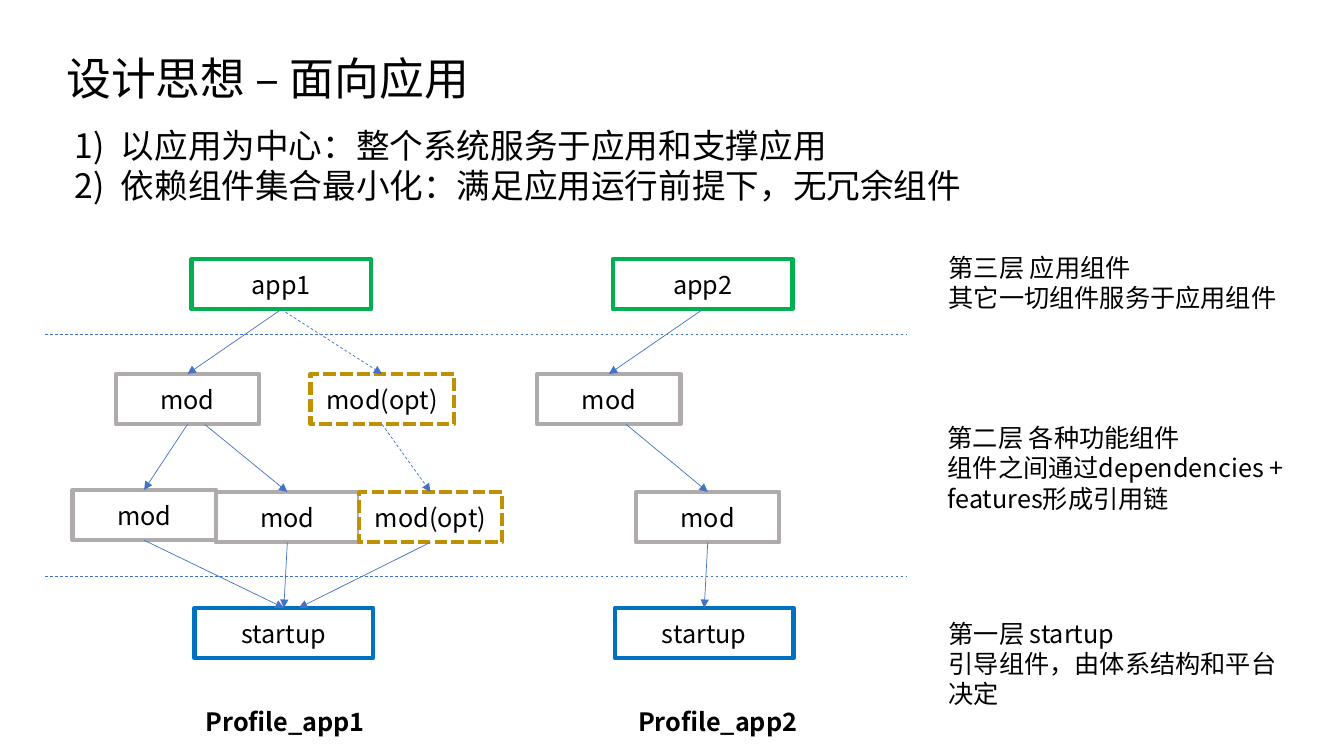
import pptx
import pptx.util
import pptx.dml.color
import pptx.enum.dml
import pptx.enum.shapes
import pptx.enum.text
import pptx.oxml.ns
import lxml.etree

Inches, Pt = pptx.util.Inches, pptx.util.Pt
DASH = pptx.enum.dml.MSO_LINE

# Content
FONT = "Noto Sans CJK SC"
COLORS = {"text": "000000", "paper": "FFFFFF", "app": "00B050", "mod": "AFABAB",
          "opt": "BF9000", "startup": "0070C0", "link": "4472C4"}
BOX_HEIGHT = 0.5
WIDTHS = {"app": 1.78, "mod": 1.42, "opt": 1.42, "startup": 1.77}

# left, top, width, height, size, bold, hanging indent, lines
TEXTS = [
    (0.56, 0.4, 10.9, 0.64, 32, False, 0, ["设计思想 – 面向应用"]),
    (0.64, 1.15, 9.02, 0.91, 24, False, 0.46,
     ["1)\t以应用为中心：整个系统服务于应用和支撑应用",
      "2)\t依赖组件集合最小化：满足应用运行前提下，无冗余组件"]),
    (9.31, 2.42, 3.61, 0.71, 18, False, 0,
     ["第三层 应用组件", "其它一切组件服务于应用组件"]),
    (9.3, 4.11, 3.61, 1.01, 18, False, 0,
     ["第二层 各种功能组件", "组件之间通过dependencies +", "features形成引用链"]),
    (9.31, 6.05, 3.61, 1.01, 18, False, 0,
     ["第一层 startup", "引导组件，由体系结构和平台决定"]),
    (1.94, 6.93, 1.81, 0.4, 18, True, 0, ["Profile_app1"]),
    (6.23, 6.93, 1.81, 0.4, 18, True, 0, ["Profile_app2"]),
]

# name: (kind, label, left, top)
BOXES = {
    "app1": ("app", "app1", 1.9, 2.57),
    "startup1": ("startup", "startup", 1.93, 6.03),
    "leaf1": ("mod", "mod", 0.72, 4.86),
    "leaf2": ("mod", "mod", 2.14, 4.88),
    "leaf_opt": ("opt", "mod(opt)", 3.56, 4.88),
    "mod1": ("mod", "mod", 1.15, 3.71),
    "mod_opt": ("opt", "mod(opt)", 3.08, 3.71),
    "app2": ("app", "app2", 6.08, 2.57),
    "startup2": ("startup", "startup", 6.1, 6.03),
    "leaf3": ("mod", "mod", 6.31, 4.88),
    "mod2": ("mod", "mod", 5.33, 3.71),
}

# from, to, start shift, end shift, dashed
ARROWS = [
    ("app1", "mod1", 0, 0, False),
    ("app1", "mod_opt", 0, 0, True),
    ("mod1", "leaf1", 0, 0, False),
    ("mod1", "leaf2", 0.17, 0, False),
    ("mod_opt", "leaf_opt", 0, 0, True),
    ("leaf1", "startup1", 0, 0, False),
    ("leaf2", "startup1", 0, 0, False),
    ("leaf_opt", "startup1", 0, 0.15, False),
    ("app2", "mod2", 0, 0, False),
    ("mod2", "leaf3", 0.17, 0, False),
    ("leaf3", "startup2", 0, 0, False),
]
LAYER_LINES = [3.32, 5.72]
LAYER_LEFT, LAYER_RIGHT = 0.45, 8.99

prs = pptx.Presentation()
prs.slide_width, prs.slide_height = Inches(13.33), Inches(7.5)
s = prs.slides.add_slide(prs.slide_layouts[6])


def rgb(name):
    return pptx.dml.color.RGBColor.from_string(COLORS[name])


def add_run(p, text, size, bold=False):
    r = p.add_run()
    r.text = text
    r.font.size, r.font.bold, r.font.name = Pt(size), bold, FONT
    r.font.color.rgb = rgb("text")
    ea = lxml.etree.SubElement(r.font._element, pptx.oxml.ns.qn("a:ea"))
    ea.set("typeface", FONT)


def add_text(left, top, width, height, size, bold, hang, lines):
    sp = s.shapes.add_textbox(Inches(left), Inches(top), Inches(width), Inches(height))
    tf = sp.text_frame
    tf.word_wrap = True
    # Tight line pitch, with the first baseline lowered to suit the font
    tf.margin_top = Inches(0.05) + Pt(size * 0.12)
    tf.margin_bottom = 0
    for i, line in enumerate(lines):
        p = tf.add_paragraph() if i else tf.paragraphs[0]
        p.line_spacing = Pt(size * 1.2)
        if hang:
            pPr = p._p.get_or_add_pPr()
            pPr.set("marL", str(Inches(hang)))
            pPr.set("indent", str(-Inches(hang)))
        add_run(p, line, size, bold)


def add_box(kind, label, left, top):
    sp = s.shapes.add_shape(pptx.enum.shapes.MSO_SHAPE.RECTANGLE, Inches(left),
                            Inches(top), Inches(WIDTHS[kind]), Inches(BOX_HEIGHT))
    sp.shadow.inherit = False
    sp.fill.solid()
    sp.fill.fore_color.rgb = rgb("paper")
    sp.line.color.rgb = rgb(kind)
    sp.line.width = Pt(3)
    if kind == "opt":
        sp.line.dash_style = DASH.SQUARE_DOT
    tf = sp.text_frame
    tf.vertical_anchor = pptx.enum.text.MSO_ANCHOR.MIDDLE
    p = tf.paragraphs[0]
    p.alignment = pptx.enum.text.PP_ALIGN.CENTER
    add_run(p, label, 18)


def add_line(x1, y1, x2, y2, dashed, arrow):
    c = s.shapes.add_connector(pptx.enum.shapes.MSO_CONNECTOR.STRAIGHT,
                               Inches(x1), Inches(y1), Inches(x2), Inches(y2))
    c.line.color.rgb = rgb("link")
    c.line.width = Pt(0.5)
    if dashed:
        c.line.dash_style = DASH.DASH
    if arrow:
        tail = lxml.etree.SubElement(c.line._get_or_add_ln(), pptx.oxml.ns.qn("a:tailEnd"))
        tail.set("type", "triangle")
    lxml.etree.SubElement(c._element.spPr, pptx.oxml.ns.qn("a:effectLst"))


def center(name):
    kind, _, left, _ = BOXES[name]
    return left + WIDTHS[kind] / 2


# Component boxes
for box in BOXES.values():
    add_box(*box)

# Dependency arrows, from bottom edge to top edge
for start, end, shift1, shift2, dashed in ARROWS:
    add_line(center(start) + shift1, BOXES[start][3] + BOX_HEIGHT,
             center(end) + shift2, BOXES[end][3], dashed, True)

# Layer separators
for y in LAYER_LINES:
    add_line(LAYER_LEFT, y, LAYER_RIGHT, y, True, False)

# Title, principles, layer notes and captions
for text in TEXTS:
    add_text(*text)

prs.save("out.pptx")
